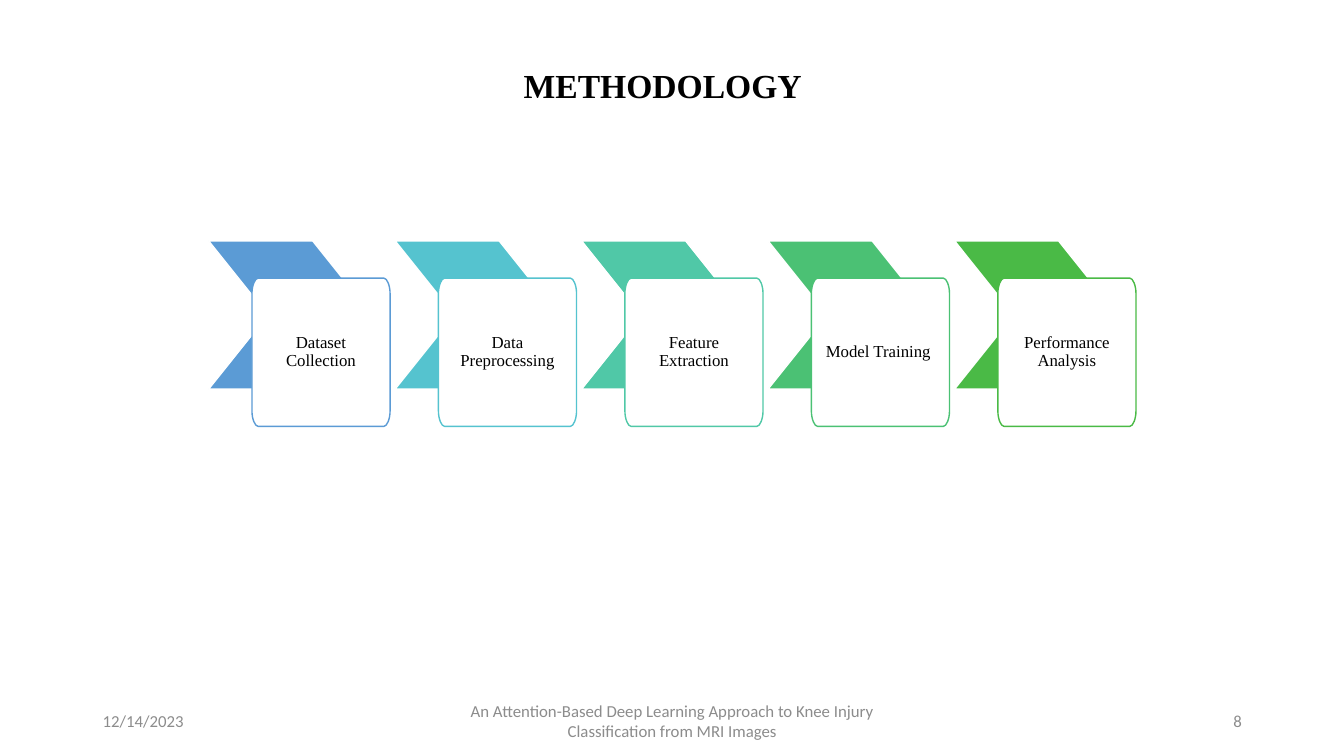
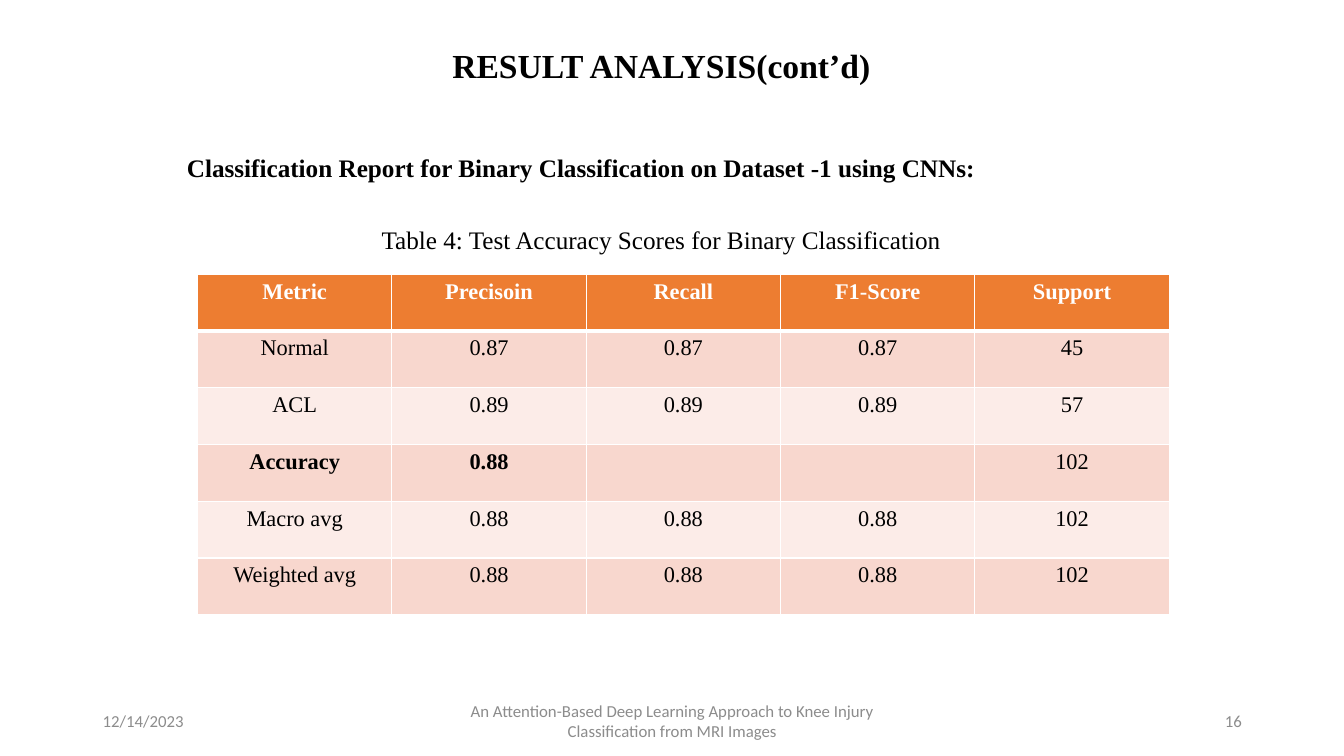
from lxml.etree import SubElement
from pptx import Presentation
from pptx.dml.color import RGBColor
from pptx.enum.shapes import MSO_SHAPE
from pptx.enum.text import MSO_ANCHOR, PP_ALIGN
from pptx.oxml.ns import qn
from pptx.util import Inches, Pt

BLACK = RGBColor(0x00, 0x00, 0x00)
WHITE = RGBColor(0xFF, 0xFF, 0xFF)
GRAY = RGBColor(0x8C, 0x8C, 0x8C)
ORANGE = RGBColor(0xED, 0x7D, 0x31)
PEACH = RGBColor(0xF8, 0xD7, 0xCE)
CREAM = RGBColor(0xFC, 0xEC, 0xE8)
BLUE = RGBColor(0x5B, 0x9B, 0xD5)
CYAN = RGBColor(0x55, 0xC3, 0xCF)
TEAL = RGBColor(0x50, 0xC8, 0xA7)
MINT = RGBColor(0x4B, 0xC1, 0x74)
GREEN = RGBColor(0x4A, 0xBA, 0x46)

SERIF = "Times New Roman"
SANS = "Calibri"
DATE = "12/14/2023"
TOPIC = "An Attention-Based Deep Learning Approach to Knee Injury Classification from MRI Images"

STEPS = [
    ("Dataset Collection", BLUE),
    ("Data Preprocessing", CYAN),
    ("Feature Extraction", TEAL),
    ("Model Training ", MINT),
    ("Performance Analysis", GREEN),
]
SCORES = [
    ("Metric", "Precisoin", "Recall", "F1-Score", "Support"),
    ("Normal", "0.87", "0.87", "0.87", "45"),
    ("ACL", "0.89", "0.89", "0.89", "57"),
    ("Accuracy", "0.88", "", "", "102"),
    ("Macro avg", "0.88", "0.88", "0.88", "102"),
    ("Weighted avg", "0.88", "0.88", "0.88", "102"),
]


def write(frame, text, size, color=BLACK, bold=False, font=SERIF, align=PP_ALIGN.CENTER):
    para = frame.paragraphs[0]
    para.text = text
    para.alignment = align
    for run in para.runs:
        run.font.size = Pt(size)
        run.font.name = font
        run.font.bold = bold
        run.font.color.rgb = color
    return para


def add_text(slide, box, text, size, anchor=MSO_ANCHOR.TOP, **style):
    frame = slide.shapes.add_textbox(*map(Inches, box)).text_frame
    frame.word_wrap = True
    frame.vertical_anchor = anchor
    write(frame, text, size, **style)


def add_title(slide, text, box):
    add_text(slide, box, text, 24, bold=True)


def add_footer(slide, number):
    parts = [
        (0.92, 3, DATE, PP_ALIGN.LEFT),
        (4.42, 4.5, TOPIC, PP_ALIGN.CENTER),
        (9.42, 3, number, PP_ALIGN.RIGHT),
    ]
    for left, width, text, align in parts:
        add_text(slide, (left, 6.95, width, 0.4), text, 12, MSO_ANCHOR.MIDDLE,
                 color=GRAY, font=SANS, align=align)


def paint(shape, fill, line):
    shape.shadow.inherit = False
    shape.fill.solid()
    shape.fill.fore_color.rgb = fill
    shape.line.color.rgb = line
    shape.line.width = Pt(1)


def bend(shape):
    lines = list(shape._element.iter(qn("a:lnTo")))
    for start in range(0, len(lines), 4):
        curve = lines[start].makeelement(qn("a:cubicBezTo"))
        lines[start].addprevious(curve)
        for line in lines[start:start + 3]:
            curve.append(line[0])
            line.getparent().remove(line)


def add_card(shapes, box, text, color):
    left, top, width, height = box
    right, base = left + width, top + height
    horiz, vert = 0.06, 0.15
    dx, dy = horiz / 2, vert / 2
    points = [
        (left, top + vert), (left, top + dy), (left + dx, top), (left + horiz, top),
        (right - horiz, top), (right - dx, top), (right, top + dy), (right, top + vert),
        (right, base - vert), (right, base - dy), (right - dx, base), (right - horiz, base),
        (left + horiz, base), (left + dx, base), (left, base - dy), (left, base - vert),
    ]
    points = [(Inches(x), Inches(y)) for x, y in points]
    pen = shapes.build_freeform(*points[0])
    pen.add_line_segments(points[1:], close=True)
    card = pen.convert_to_shape()
    bend(card)
    paint(card, WHITE, color)
    frame = card.text_frame
    frame.word_wrap = True
    frame.vertical_anchor = MSO_ANCHOR.MIDDLE
    frame.margin_left = frame.margin_right = Inches(0.11)
    frame.margin_top = frame.margin_bottom = Inches(0.11)
    write(frame, text, 12).line_spacing = 0.9


def add_step(shapes, box, text, color):
    left, top, width, height = box
    arrow = shapes.add_shape(MSO_SHAPE.CHEVRON, *map(Inches, box))
    arrow.adjustments[0] = 0.4
    paint(arrow, color, WHITE)
    add_card(shapes, (left + 0.43, top + 0.37, 1.37, height), text, color)


def add_flow(slide, box):
    left, top, width, height = box
    shapes = slide.shapes.add_group_shape().shapes
    wide, reach = 1.62, 1.8
    pitch = (width - reach) / (len(STEPS) - 1)
    for index, (text, color) in enumerate(STEPS):
        add_step(shapes, (left + index * pitch, top, wide, height), text, color)


def add_edges(cell, row):
    props = cell._tc.get_or_add_tcPr()
    for side in "LRTB":
        thick = (side == "B" and row == 0) or (side == "T" and row == 1)
        edge = SubElement(props, qn("a:ln" + side), w=str(Pt(3 if thick else 1)))
        fill = SubElement(edge, qn("a:solidFill"))
        SubElement(fill, qn("a:srgbClr"), val=str(WHITE))


def add_scores(slide, box):
    rows, cols = len(SCORES), len(SCORES[0])
    left, top, width, height = map(Inches, box)
    table = slide.shapes.add_table(rows, cols, left, top, width, height).table
    table.horz_banding = False
    for col in table.columns:
        col.width = width // cols
    for row, values in enumerate(SCORES):
        table.rows[row].height = height // rows
        head = row == 0
        for col, text in enumerate(values):
            cell = table.cell(row, col)
            add_edges(cell, row)
            cell.fill.solid()
            cell.fill.fore_color.rgb = ORANGE if head else PEACH if row % 2 else CREAM
            bold = head or (values[0] == "Accuracy" and col < 2)
            write(cell.text_frame, text, 16, WHITE if head else BLACK, bold)


def add_method(slide):
    add_footer(slide, "8")
    add_title(slide, "METHODOLOGY", (4.82, 0.59, 3.51, 0.5))
    add_flow(slide, (2.07, 2.39, 9.2, 1.47))


def add_result(slide):
    add_footer(slide, "16")
    add_scores(slide, (1.96, 2.72, 9.64, 3.38))
    add_text(slide, (2.89, 2.18, 7.34, 0.4),
             "Table 4: Test Accuracy Scores for Binary Classification", 18)
    add_title(slide, "RESULT ANALYSIS(cont’d)", (4.27, 0.4, 4.58, 0.5))
    add_text(slide, (1.65, 1.46, 8.23, 0.4),
             "Classification Report for Binary Classification on Dataset -1 using CNNs:",
             18, bold=True)


def main():
    deck = Presentation()
    deck.slide_width = Inches(40) // 3
    deck.slide_height = Inches(7.5)
    for build in (add_method, add_result):
        build(deck.slides.add_slide(deck.slide_layouts[6]))
    deck.save("out.pptx")


if __name__ == "__main__":
    main()
